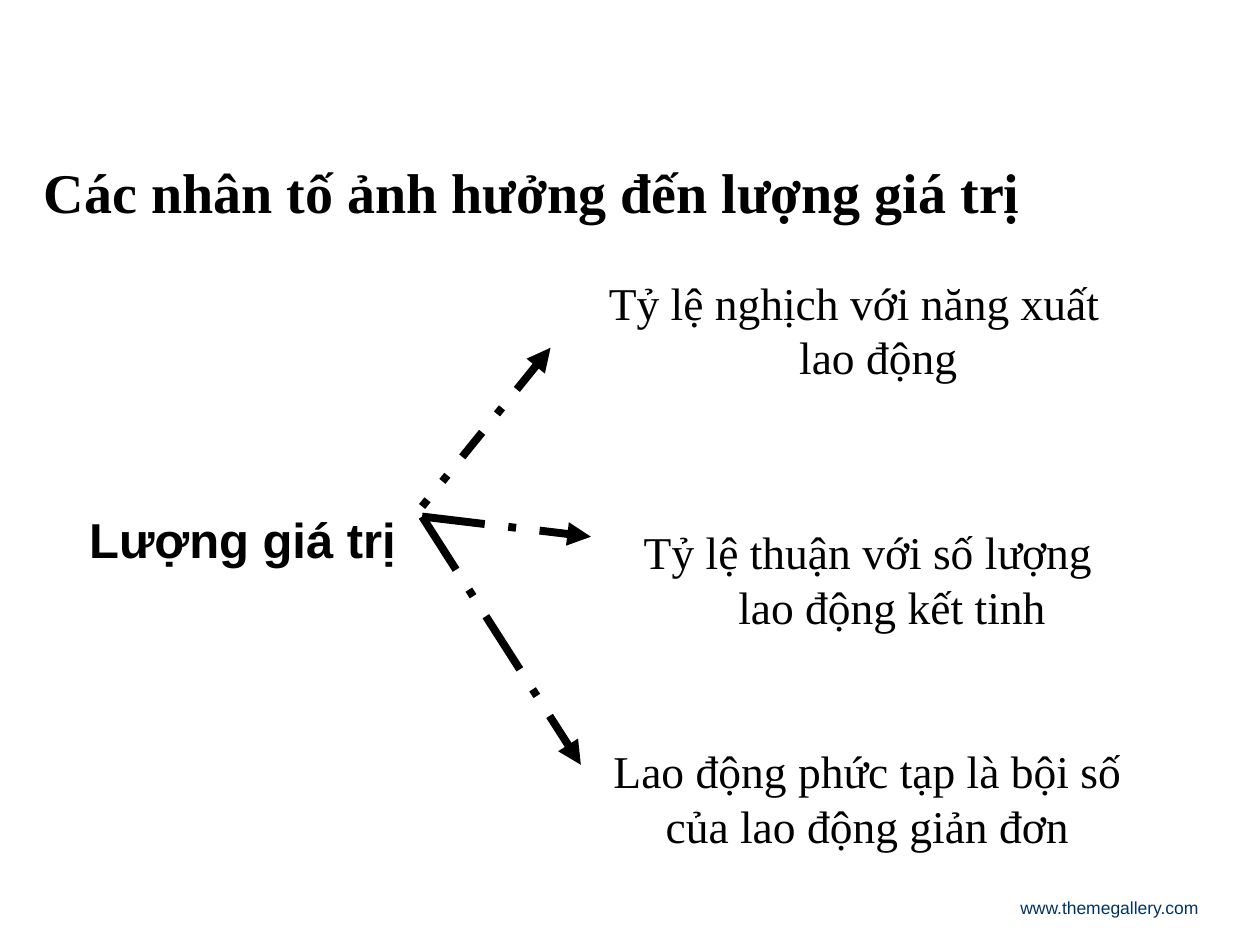
from lxml.etree import SubElement
from pptx import Presentation
from pptx.dml.color import RGBColor
from pptx.enum.dml import MSO_LINE_DASH_STYLE as Dash
from pptx.enum.shapes import MSO_CONNECTOR as Conn
from pptx.enum.text import MSO_ANCHOR as Anchor, PP_ALIGN as Align
from pptx.oxml.ns import qn
from pptx.util import Inches, Pt

SERIF = "Times New Roman"


def rgb(value):
    return RGBColor.from_string(value)


class Deck:
    """Holds the style and the current slide."""

    def __init__(self):
        self.prs = Presentation()
        self.prs.slide_width, self.prs.slide_height = Inches(10), Inches(7.5)
        self.s = self.prs.slides.add_slide(self.prs.slide_layouts[5])
        self.color = "000000"

    def fill_text(self, sp, text, size, font, bold=False, color=None,
                  align=Align.CENTER, anchor=Anchor.TOP, inset=(0.1, 0.05),
                  margin=0, indent=0):
        tf = sp.text_frame
        tf.word_wrap = True
        tf.vertical_anchor = anchor
        tf.margin_left = tf.margin_right = Inches(inset[0])
        tf.margin_top = tf.margin_bottom = Inches(inset[1])
        p = tf.paragraphs[0]
        p.alignment = align
        p.space_before = Pt(0)
        pPr = p._p.get_or_add_pPr()
        pPr.set("marL", str(Inches(margin)))
        pPr.set("indent", str(Inches(indent)))
        r = p.add_run()
        r.text = text
        r.font.size, r.font.name, r.font.bold = Pt(size), font, bold
        r.font.color.rgb = rgb(color or self.color)

    def title(self, text, box):
        sp = self.s.shapes.title
        sp.left, sp.top, sp.width, sp.height = map(Inches, box)
        self.fill_text(sp, text, 32, SERIF, True, anchor=Anchor.MIDDLE)

    def text(self, text, box, size, font, **style):
        sp = self.s.shapes.add_textbox(*map(Inches, box))
        self.fill_text(sp, text, size, font, **style)

    def arrow(self, start, end, dash, arrow_end="tailEnd"):
        sp = self.s.shapes.add_connector(
            Conn.STRAIGHT, *map(Inches, (*start, *end)))
        sp.line.color.rgb = rgb(self.color)
        sp.line.width = Pt(4.5)
        sp.line.dash_style = dash
        SubElement(sp.line._get_or_add_ln(), qn(f"a:{arrow_end}"), type="triangle")
        SubElement(sp._element.spPr, qn("a:effectLst"))


def main():
    deck = Deck()
    deck.text("www.themegallery.com", (8, 7.07, 1.92, 0.35), 10, "Arial",
              color="003366", align=Align.LEFT)
    deck.title("Các nhân tố ảnh hưởng đến lượng giá trị", (0.07, 1.25, 8.31, 0.53))
    deck.text("Lượng giá trị", (0.27, 4.04, 3.31, 0.69), 28, "Arial", bold=True,
              inset=(0, 0), margin=0.38, indent=-0.38)

    factors = [
        ("Tỷ lệ nghịch với năng xuất lao động", (4.69, 2.13, 4.18, 0.99), -0.38),
        ("Tỷ lệ thuận với số lượng lao động kết tinh", (4.84, 4.11, 4.1, 1.19), -0.38),
        ("Lao động phức tạp là bội số của lao động giản đơn",
         (4.37, 5.85, 4.65, 1.19), 0),
    ]
    for text, box, indent in factors:
        deck.text(text, box, 26, SERIF, margin=0.38, indent=indent)

    deck.arrow((4.37, 2.76), (3.35, 4.02), Dash.DASH_DOT, "headEnd")
    for end in ((4.69, 4.26), (4.61, 6.07)):
        deck.arrow((3.35, 4.1), end, Dash.LONG_DASH_DOT)
    deck.prs.save("out.pptx")


if __name__ == "__main__":
    main()
